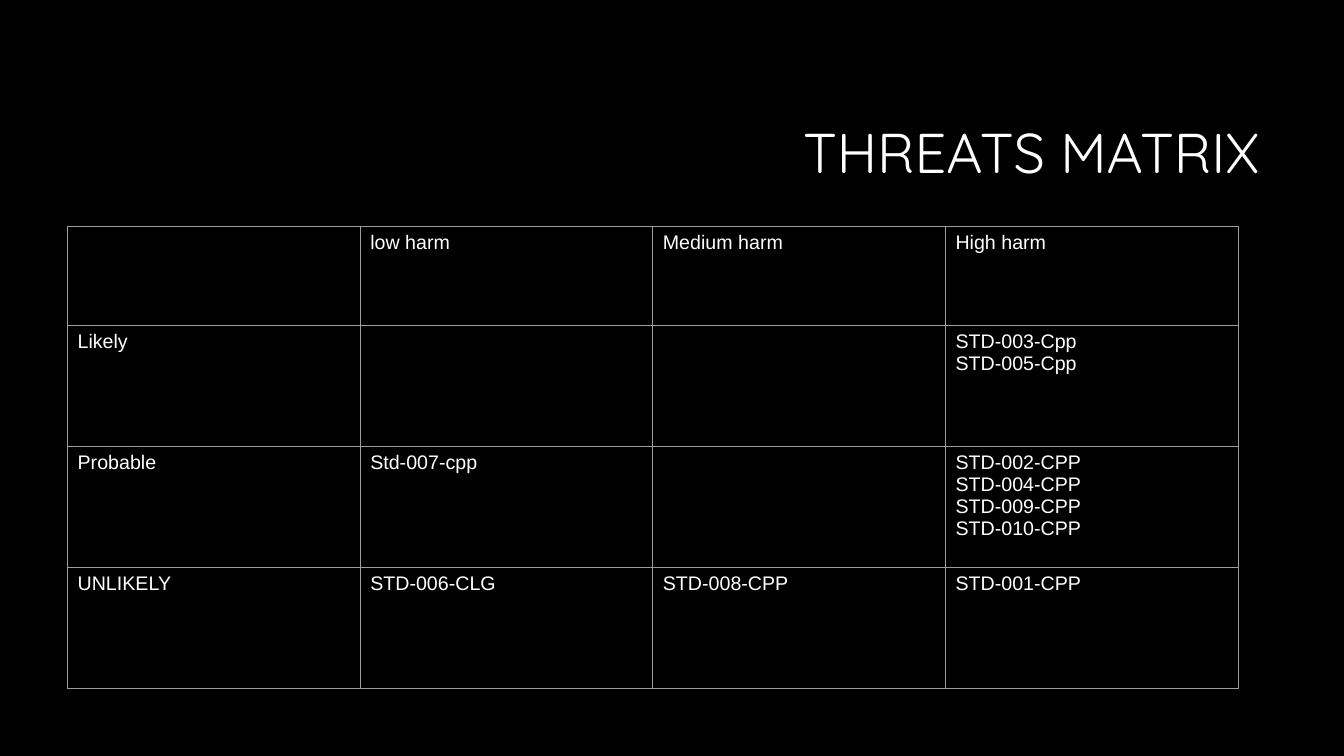
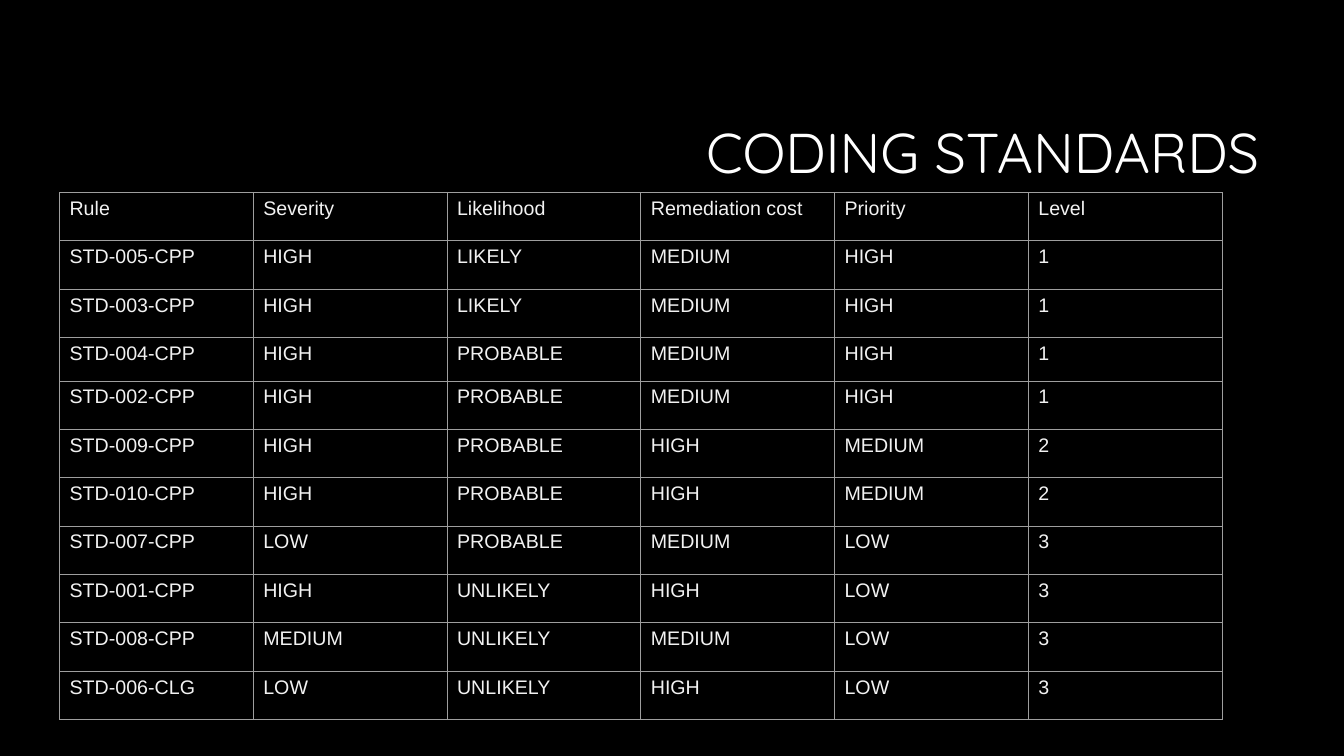
import dataclasses

import pptx
import pptx.dml.color
import pptx.enum.text
import pptx.oxml
import pptx.oxml.ns
import pptx.util

Inches = pptx.util.Inches
Pt = pptx.util.Pt
RGB = pptx.dml.color.RGBColor.from_string


@dataclasses.dataclass(frozen=True)
class Theme:
    background: str = "000000"
    white: str = "FFFFFF"
    soft_white: str = "F2F2F2"
    border: str = "9E9E9E"
    title_font: str = "Quicksand"
    body_font: str = "Arial"
    title_size: float = 40
    body_size: float = 14
    border_width: float = 0.75


class Deck:
    """Hold the presentation, its theme and the current slide."""

    def __init__(self, theme):
        self.theme = theme
        self.prs = pptx.Presentation()
        self.prs.slide_width = Inches(13.33)
        self.prs.slide_height = Inches(7.5)
        fill = self.prs.slide_master.background.fill
        fill.solid()
        fill.fore_color.rgb = RGB(theme.background)
        self.s = None

    def style(self, p, font, size, color):
        p.font.name = font
        p.font.size = Pt(size)
        p.font.color.rgb = RGB(color)

    def add_slide(self, title):
        self.s = self.prs.slides.add_slide(self.prs.slide_layouts.get_by_name("Title Only"))
        sp = self.s.shapes.title
        sp.left, sp.top = Inches(3.17), Inches(0.84)
        sp.width, sp.height = Inches(9.42), Inches(1.41)
        tf = sp.text_frame
        tf.text = title
        tf.vertical_anchor = pptx.enum.text.MSO_ANCHOR.MIDDLE
        p = tf.paragraphs[0]
        p.alignment = pptx.enum.text.PP_ALIGN.RIGHT
        p.line_spacing = 0.9
        self.style(p, self.theme.title_font, self.theme.title_size, self.theme.white)

    def add_borders(self, cell):
        tc_pr = cell._tc.get_or_add_tcPr()
        for side in ("lnL", "lnR", "lnT", "lnB"):
            tc_pr.append(pptx.oxml.parse_xml(
                f'<a:{side} {pptx.oxml.ns.nsdecls("a")} w="{Pt(self.theme.border_width)}">'
                f'<a:solidFill><a:srgbClr val="{self.theme.border}"/></a:solidFill>'
                f'</a:{side}>'))

    def add_table(self, left, top, width, heights, rows, color):
        n_cols = len(rows[0])
        table = self.s.shapes.add_table(
            len(rows), n_cols, Inches(left), Inches(top),
            Inches(width), Inches(sum(heights))).table
        table.first_row = False
        table.horz_banding = False
        for col in table.columns:
            col.width = Inches(width / n_cols)
        for row, height, texts in zip(table.rows, heights, rows):
            row.height = Inches(height)
            for cell, text in zip(row.cells, texts):
                self.add_borders(cell)
                cell.fill.background()
                cell.text = text
                for p in cell.text_frame.paragraphs:
                    self.style(p, self.theme.body_font, self.theme.body_size, color)


THREATS = [
    ("", "low harm", "Medium harm", "High harm"),
    ("Likely", "", "", "STD-003-Cpp\nSTD-005-Cpp"),
    ("Probable", "Std-007-cpp", "",
     "STD-002-CPP\nSTD-004-CPP\nSTD-009-CPP\nSTD-010-CPP"),
    ("UNLIKELY", "STD-006-CLG", "STD-008-CPP", "STD-001-CPP"),
]

STANDARDS = [
    ("Rule", "Severity", "Likelihood", "Remediation cost", "Priority", "Level"),
    ("STD-005-CPP", "HIGH", "LIKELY", "MEDIUM", "HIGH", "1"),
    ("STD-003-CPP", "HIGH", "LIKELY", "MEDIUM", "HIGH", "1"),
    ("STD-004-CPP", "HIGH", "PROBABLE", "MEDIUM", "HIGH", "1"),
    ("STD-002-CPP", "HIGH", "PROBABLE", "MEDIUM", "HIGH", "1"),
    ("STD-009-CPP", "HIGH", "PROBABLE", "HIGH", "MEDIUM", "2"),
    ("STD-010-CPP", "HIGH", "PROBABLE", "HIGH", "MEDIUM", "2"),
    ("STD-007-CPP", "LOW", "PROBABLE", "MEDIUM", "LOW", "3"),
    ("STD-001-CPP", "HIGH", "UNLIKELY", "HIGH", "LOW", "3"),
    ("STD-008-CPP", "MEDIUM", "UNLIKELY", "MEDIUM", "LOW", "3"),
    ("STD-006-CLG", "LOW", "UNLIKELY", "HIGH", "LOW", "3"),
]


def main():
    theme = Theme()
    deck = Deck(theme)
    deck.add_slide("THREATS MATRIX")
    deck.add_table(0.67, 2.25, 11.61, [0.98] + [1.2] * 3, THREATS, theme.white)
    deck.add_slide("CODING STANDARDS")
    deck.add_table(0.59, 1.91, 11.53, [0.48] * 3 + [0.43] + [0.48] * 7,
                   STANDARDS, theme.soft_white)
    deck.prs.save("out.pptx")


if __name__ == "__main__":
    main()
